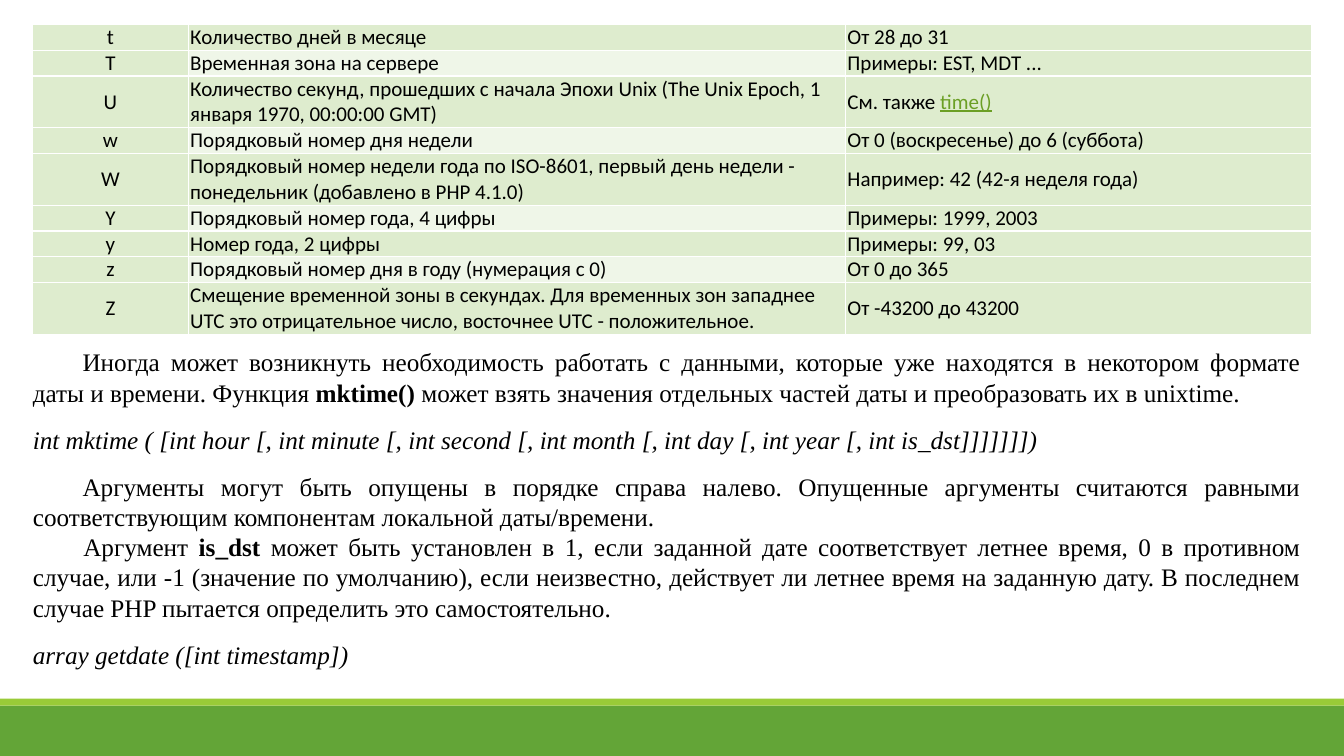
from dataclasses import dataclass

from lxml import etree
from pptx import Presentation
from pptx import util as u
from pptx.dml import color
from pptx.enum import shapes, text
from pptx.oxml import ns


@dataclass(frozen=True)
class Theme:
    black: str = "000000"
    white: str = "FFFFFF"
    green: str = "63A537"
    lime: str = "99CB38"
    link: str = "6B9F25"
    band: str = "DEECCE"
    light_band: str = "EFF6E8"
    table_font: str = "Calibri"
    body_font: str = "Times New Roman"
    table_size: int = 15
    body_size: int = 18


def rgb(value):
    return color.RGBColor.from_string(value)


def assign(target, values):
    for name, value in values.items():
        setattr(target, name, value)


class SlideBuilder:
    def __init__(self, slide, theme):
        self.slide = slide
        self.theme = theme

    def bar(self, left, top, width, height, fill):
        shape = self.slide.shapes.add_shape(
            shapes.MSO_SHAPE.RECTANGLE, *map(u.Pt, (left, top, width, height)))
        shape.shadow.inherit = False
        shape.fill.solid()
        shape.fill.fore_color.rgb = rgb(fill)
        shape.line.fill.background()

    def runs(self, paragraph, parts, font, size):
        """Each part is plain text or a (text, format values) pair."""
        for part in parts:
            content, values = (part, {}) if isinstance(part, str) else part
            values = {"name": font, "size": u.Pt(size), **values}
            tint = values.pop("tint", self.theme.black)
            run = paragraph.add_run()
            run.text = content
            assign(run.font, values)
            run.font.color.rgb = rgb(tint)

    def borders(self, cell):
        properties = cell._tc.get_or_add_tcPr()
        for side in ("lnL", "lnR", "lnT", "lnB"):
            line = etree.SubElement(properties, ns.qn(f"a:{side}"), w=str(u.Pt(1)))
            fill = etree.SubElement(line, ns.qn("a:solidFill"))
            etree.SubElement(fill, ns.qn("a:srgbClr"), val=self.theme.white)

    def table(self, left, top, widths, heights, rows):
        frame = self.slide.shapes.add_table(
            len(rows), len(widths), u.Pt(left), u.Pt(top),
            u.Pt(sum(widths)), u.Pt(sum(heights)))
        table = frame.table
        for column, width in zip(table.columns, widths):
            column.width = u.Pt(width)
        for row, height in zip(table.rows, heights):
            row.height = u.Pt(height)
        assign(table, {"first_row": False, "horz_banding": False})
        margins = {"margin_left": u.Pt(1.5), "margin_right": u.Pt(1.5),
                   "margin_top": 0, "margin_bottom": 0,
                   "vertical_anchor": text.MSO_ANCHOR.MIDDLE}
        for r, row in enumerate(rows):
            for c, parts in enumerate(row):
                cell = table.cell(r, c)
                assign(cell, margins)
                self.borders(cell)
                # Only the description column alternates its shade
                shaded = c == 1 and r % 2 == 1 and r != 6
                cell.fill.solid()
                cell.fill.fore_color.rgb = rgb(
                    self.theme.light_band if shaded else self.theme.band)
                paragraph = cell.text_frame.paragraphs[0]
                paragraph.alignment = text.PP_ALIGN.LEFT if c else text.PP_ALIGN.CENTER
                parts = [parts] if isinstance(parts, str) else parts
                self.runs(paragraph, parts, self.theme.table_font, self.theme.table_size)

    def body(self, left, top, width, height, paragraphs):
        box = self.slide.shapes.add_textbox(*map(u.Pt, (left, top, width, height)))
        frame = box.text_frame
        frame.word_wrap = True
        for index, (indent, spacing, parts) in enumerate(paragraphs):
            paragraph = frame.add_paragraph() if index else frame.paragraphs[0]
            assign(paragraph, {"alignment": text.PP_ALIGN.JUSTIFY,
                               "space_before": u.Pt(spacing),
                               "space_after": u.Pt(spacing)})
            paragraph._p.get_or_add_pPr().set("indent", str(u.Pt(indent)))
            self.runs(paragraph, parts, self.theme.body_font, self.theme.body_size)


THEME = Theme()
BOLD = {"bold": True}
ITALIC = {"italic": True}
LINK = {"underline": True, "tint": THEME.link}
SINGLE, DOUBLE = 18.4, 37

DATE_FORMATS = [
    ("t", "Количество дней в месяце", "От 28 до 31"),
    ("T", "Временная зона на сервере", "Примеры: EST, MDT ..."),
    ("U", "Количество секунд, прошедших с начала Эпохи Unix "
     "(The Unix Epoch, 1 января 1970, 00:00:00 GMT)",
     ["См. также ", ("time()", LINK)]),
    ("w", "Порядковый номер дня недели", "От 0 (воскресенье) до 6 (суббота)"),
    ("W", "Порядковый номер недели года по ISO-8601, первый день недели - "
     "понедельник (добавлено в PHP 4.1.0)", "Например: 42 (42-я неделя года)"),
    ("Y", "Порядковый номер года, 4 цифры", "Примеры: 1999, 2003"),
    ("y", "Номер года, 2 цифры", "Примеры: 99, 03"),
    ("z", "Порядковый номер дня в году (нумерация с 0)", "От 0 до 365"),
    ("Z", "Смещение временной зоны в секундах. Для временных зон западнее UTC "
     "это отрицательное число, восточнее UTC - положительное.",
     "От -43200 до 43200"),
]

# First-line indent, spacing before and after, text parts
EXPLANATION = [
    (35.5, 0, ["Иногда может возникнуть необходимость работать с данными, которые "
               "уже наxодятся в некотором формате даты и времени. Функция ",
               ("mktime()", BOLD),
               " может взять значения отдельныx частей даты и преобразовать иx "
               "в unixtime."]),
    (0, 12, [("int mktime ( [int hour [, int minute [, int second [, int month "
              "[, int day [, int year [, int is_dst]]]]]]])", ITALIC)]),
    (35.5, 0, ["Аргументы могут быть опущены в порядке справа налево. Опущенные "
               "аргументы считаются равными соответствующим компонентам локальной "
               "даты/времени."]),
    (36, 0, ["Аргумент ", ("is_dst", BOLD),
             " может быть установлен в 1, если заданной дате соответствует летнее "
             "время, 0 в противном случае, или -1 (значение по умолчанию), если "
             "неизвестно, действует ли летнее время на заданную дату. В последнем "
             "случае PHP пытается определить это самостоятельно."]),
    (0, 12, [("array getdate ([int timestamp])", ITALIC)]),
]


def main():
    presentation = Presentation()
    assign(presentation, {"slide_width": u.Pt(960), "slide_height": u.Pt(540)})
    slide = presentation.slides.add_slide(presentation.slide_layouts[6])
    builder = SlideBuilder(slide, THEME)

    # Footer bars
    builder.bar(0, 504, 960, 36, THEME.green)
    builder.bar(0, 499, 960, 5, THEME.lime)

    # Date format table: the rows with long descriptions take two lines
    heights = [DOUBLE if len(row[1]) > 60 else SINGLE for row in DATE_FORMATS]
    builder.table(23.4, 17.5, (111, 469.5, 333), heights, DATE_FORMATS)

    # Explanation of the date functions
    builder.body(16.4, 244, 920, 240, EXPLANATION)

    presentation.save("out.pptx")


if __name__ == "__main__":
    main()
